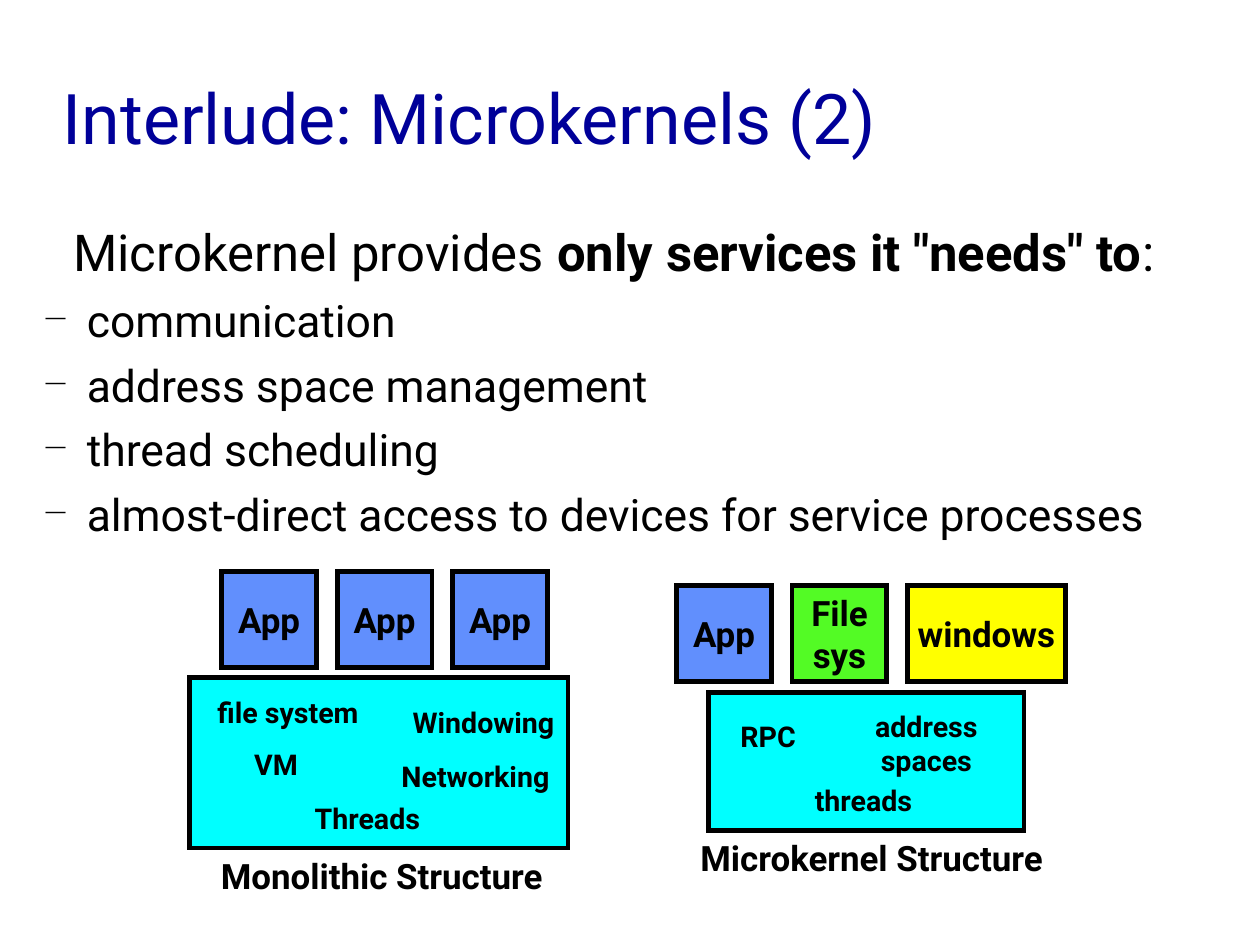
from lxml.etree import SubElement
from pptx import Presentation
from pptx.dml.color import RGBColor
from pptx.enum.shapes import MSO_SHAPE
from pptx.enum.text import MSO_ANCHOR, PP_ALIGN
from pptx.oxml.ns import qn
from pptx.util import Cm, Inches, Pt

TITLE = "Interlude: Microkernels (2)"
LEAD = [("Microkernel provides ", False),
        ('only services it "needs" to', True),
        (":", False)]
SERVICES = ["communication", "address space management", "thread scheduling",
            "almost-direct access to devices for service processes"]

BLACK, NAVY = "000000", "000099"
BLUE, GREEN, YELLOW, CYAN = "618FFD", "53FB25", "FFFF00", "00FFFF"
PROCESS_WIDTH, PROCESS_HEIGHT, PROCESS_PITCH = 0.83, 0.84, 1.01

# Processes: text, fill, width; parts and caption: text, left, top, width, height
STRUCTURES = [
    {"start": (1.94, 5),
     "processes": [("App", BLUE, PROCESS_WIDTH)] * 3,
     "kernel": (1.66, 5.93, 3.31, 1.49),
     "parts": [("file system", 1.54, 6.03, 1.96, 0.4),
               ("Windowing", 3.22, 6.12, 2.02, 0.4),
               ("Networking", 3.13, 6.59, 2.06, 0.4),
               ("VM", 1.88, 6.49, 1.07, 0.4),
               ("Threads", 2.38, 6.96, 1.67, 0.4)],
     "caption": ("Monolithic Structure", 1.53, 7.43, 3.62, 0.46)},
    {"start": (5.92, 5.12),
     "processes": [("App", BLUE, PROCESS_WIDTH),
                   ("File\nsys", GREEN, PROCESS_WIDTH),
                   ("windows", YELLOW, 1.38)],
     "kernel": (6.2, 6.06, 2.76, 1.21),
     "parts": [("RPC", 6.11, 6.24, 1.22, 0.4),
               ("address\nspaces", 7.28, 6.15, 1.65, 0.7),
               ("threads", 6.76, 6.8, 1.59, 0.4)],
     "caption": ("Microkernel Structure", 5.7, 7.27, 3.85, 0.46)},
]

# The page is metric: 28 by 21 cm
prs = Presentation()
prs.slide_width = Cm(28)
prs.slide_height = Cm(21)
slide = prs.slides.add_slide(prs.slide_layouts[6])


def color(value):
    return RGBColor.from_string(value)


def set_font(font, size, bold=False, ink=BLACK):
    for name, value in {"name": "Roboto", "size": Pt(size), "bold": bold}.items():
        setattr(font, name, value)
    font.color.rgb = color(ink)


def add_plain_box(*box):
    frame = slide.shapes.add_textbox(*map(Inches, box)).text_frame
    settings = {"word_wrap": True, "margin_left": 0, "margin_right": 0,
                "margin_top": 0, "margin_bottom": 0}
    for name, value in settings.items():
        setattr(frame, name, value)
    return frame


def write_centered(frame, text, size):
    frame.word_wrap = False
    frame.text = text
    for paragraph in frame.paragraphs:
        paragraph.alignment = PP_ALIGN.CENTER
        set_font(paragraph.font, size, bold=True)


def add_block(fill, *box):
    block = slide.shapes.add_shape(MSO_SHAPE.RECTANGLE, *map(Inches, box))
    block.shadow.inherit = False
    block.fill.solid()
    block.fill.fore_color.rgb = color(fill)
    block.line.color.rgb = color(BLACK)
    block.line.width = Pt(3)
    outline = block._element.spPr.find(qn("a:ln"))
    SubElement(outline, qn("a:miter"), lim="800000")
    block.text_frame.vertical_anchor = MSO_ANCHOR.MIDDLE
    return block.text_frame


def add_label(text, size, *box):
    label = slide.shapes.add_textbox(*map(Inches, box))
    write_centered(label.text_frame, text, size)


def add_dash(paragraph):
    props = paragraph._p.get_or_add_pPr()
    props.set("marL", str(Inches(0.36)))
    props.set("indent", str(Inches(-0.36)))
    bullet_color = SubElement(props, qn("a:buClr"))
    SubElement(bullet_color, qn("a:srgbClr"), val=BLACK)
    SubElement(props, qn("a:buSzPct"), val="45000")
    SubElement(props, qn("a:buChar"), char="―")


# Title
title = add_plain_box(0.55, 0.33, 9.92, 1.38)
title.vertical_anchor = MSO_ANCHOR.MIDDLE
title.text = TITLE
set_font(title.paragraphs[0].font, 44, ink=NAVY)

# Lead sentence and list of services
body = add_plain_box(0.4, 1.93, 10.07, 2.67)
lead = body.paragraphs[0]
lead._p.get_or_add_pPr().set("marL", str(Inches(0.24)))
lead.space_after = Pt(7.1)
for words, bold in LEAD:
    run = lead.add_run()
    run.text = words
    set_font(run.font, 32, bold)
for service in SERVICES:
    item = body.add_paragraph()
    item.text = service
    item.space_after = Pt(7.2)
    add_dash(item)
    set_font(item.font, 28)

# The two kernel structures
for structure in STRUCTURES:
    left, top = structure["start"]
    for column, (text, fill, width) in enumerate(structure["processes"]):
        process = add_block(fill, left + column * PROCESS_PITCH, top,
                            width, PROCESS_HEIGHT)
        write_centered(process, text, 22)
    add_block(CYAN, *structure["kernel"])
    for text, *box in structure["parts"]:
        add_label(text, 18, *box)
    text, *box = structure["caption"]
    add_label(text, 22, *box)

prs.save("out.pptx")
